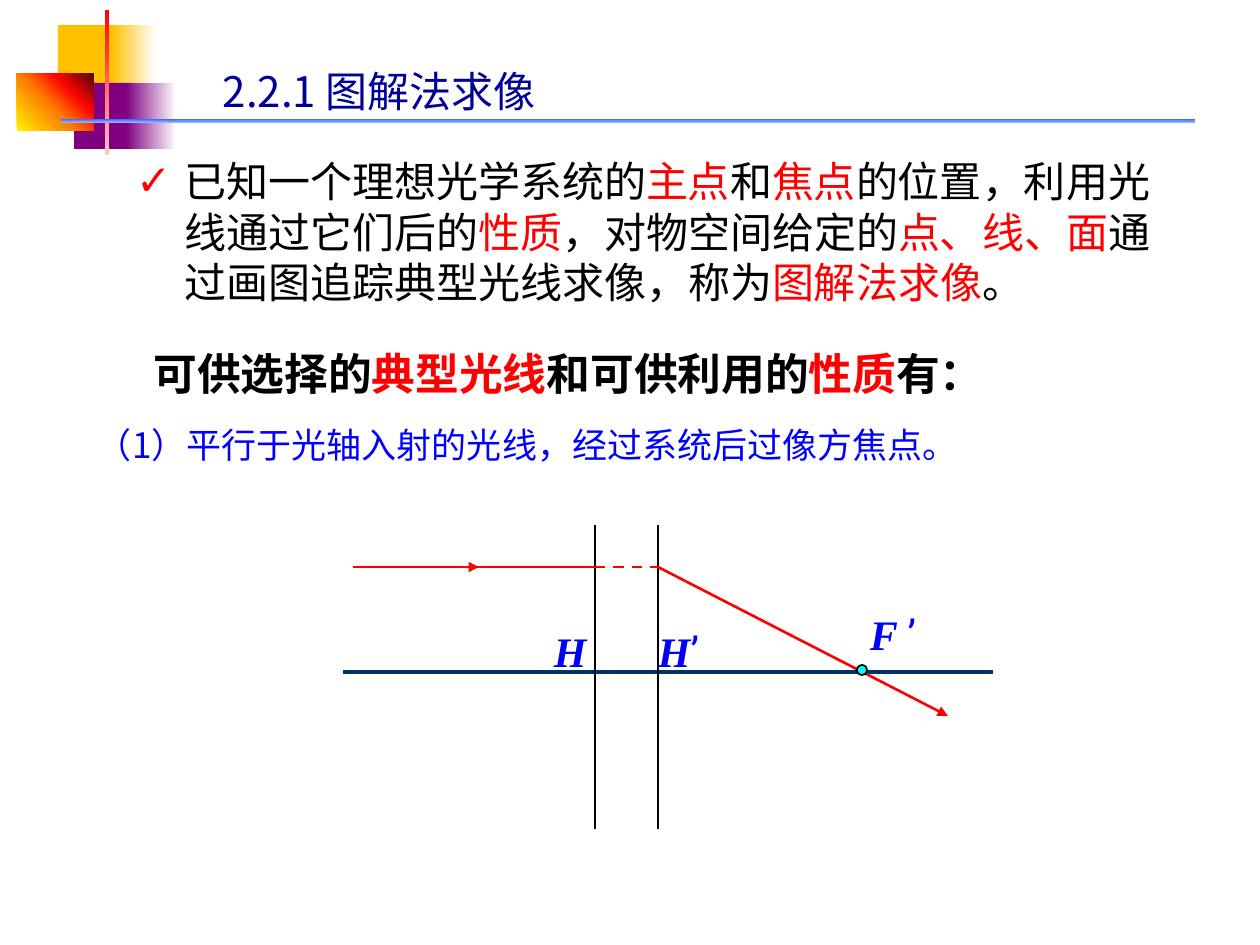
import dataclasses
import pptx
import pptx.util
import pptx.dml.color
import pptx.enum.dml
import pptx.enum.shapes
import pptx.enum.text
import pptx.oxml.ns
from lxml import etree

SCALE = 914400 / 126
qn = pptx.oxml.ns.qn
SHAPES = pptx.enum.shapes.MSO_SHAPE


@dataclasses.dataclass(frozen=True)
class Theme:
    cjk: str = "Noto Sans CJK SC"
    title_font: str = "Calibri"
    symbol: str = "Times New Roman"
    prime: str = "Roboto"
    black: str = "000000"
    red: str = "FF0000"
    blue: str = "0000FF"
    navy: str = "000099"
    axis: str = "003366"
    focus: str = "00FFFF"
    gold: str = "FFC000"
    purple: str = "800080"
    white: str = "FFFFFF"
    pink: str = "FFC9C9"
    rule: tuple = ((0, "3366FF"), (100, "A2B9FF"))
    flame: tuple = ((0, "FFF200"), (45, "FF7A00"), (70, "FF0300"), (100, "4D0808"))
    body_size: int = 24
    title_size: int = 25
    item_size: int = 20
    leading: float = 1.2


THEME = Theme()


def px(value):
    return pptx.util.Emu(round(value * SCALE))


def rgb(value):
    return pptx.dml.color.RGBColor.from_string(value)


def place(shape, box):
    shape.left, shape.top, shape.width, shape.height = map(px, box)


def add_block(page, box, fill, angle=0, kind=SHAPES.RECTANGLE):
    shape = page.shapes.add_shape(kind, *map(px, box))
    shape.shadow.inherit = False
    shape.line.fill.background()
    if isinstance(fill, str):
        shape.fill.solid()
        shape.fill.fore_color.rgb = rgb(fill)
        return shape
    shape.fill.gradient()
    shape.fill.gradient_angle = angle
    stops = shape._element.spPr.find(qn("a:gradFill")).find(qn("a:gsLst"))
    for stop in list(stops):
        stops.remove(stop)
    for position, color in fill:
        stop = etree.SubElement(stops, qn("a:gs"), pos=str(position * 1000))
        etree.SubElement(stop, qn("a:srgbClr"), val=color)
    return shape


def add_line(page, start, end, color, width=1.5, dashed=False, arrow=False):
    line = page.shapes.add_connector(
        pptx.enum.shapes.MSO_CONNECTOR.STRAIGHT, *map(px, start + end))
    line.line.color.rgb = rgb(color)
    line.line.width = pptx.util.Pt(width)
    if dashed:
        line.line.dash_style = pptx.enum.dml.MSO_LINE.DASH
    if arrow:
        etree.SubElement(line.line._get_or_add_ln(), qn("a:tailEnd"), type="triangle")
    etree.SubElement(line._element.spPr, qn("a:effectLst"))


def write(shape, spans, size, font=THEME.cjk, bold=False, leading=None, top=10):
    frame = shape.text_frame
    frame.word_wrap = True
    frame.auto_size = pptx.enum.text.MSO_AUTO_SIZE.NONE
    frame.margin_left = frame.margin_right = px(13)
    frame.margin_top, frame.margin_bottom = px(top), px(6)
    para = frame.paragraphs[0]
    para.space_before = pptx.util.Pt(0)
    if leading:
        para.line_spacing = pptx.util.Pt(round(size * leading))
    for text, color in spans:
        span = para.add_run()
        span.text = text
        span.font.name = font
        span.font.size = pptx.util.Pt(size)
        span.font.bold = bold
        span.font.color.rgb = rgb(color)
        latin = span._r.get_or_add_rPr().find(qn("a:latin"))
        latin.addnext(latin.makeelement(qn("a:ea"), typeface=THEME.cjk))
    return para


def add_text(page, box, spans, size, **style):
    return write(page.shapes.add_textbox(*map(px, box)), spans, size, **style)


def emphasise(*texts):
    return [(text, (THEME.black, THEME.red)[index % 2]) for index, text in enumerate(texts)]


def add_ornament(page, box):
    left, top = box
    for x, y, width, height, fill, angle in (
        (41, 15, 60, 66, THEME.gold, 0),
        (94, 15, 45, 66, ((0, THEME.gold), (100, THEME.white)), 0),
        (57, 73, 58, 66, THEME.purple, 0),
        (109, 73, 50, 66, ((0, THEME.purple), (100, THEME.white)), 0),
        (0, 63, 77, 58, THEME.flame, 45),
        (88, 0, 4, 145, ((0, THEME.red), (100, THEME.pink)), 270),
        (44, 109, 1134, 4, THEME.rule, 270),
    ):
        add_block(page, (left + x, top + y, width, height), fill, angle)


def add_definition(page, box):
    body = page.placeholders[1]
    place(body, box)
    para = write(body, emphasise(
        "已知一个理想光学系统的", "主点", "和", "焦点",
        "的位置，利用光线通过它们后的", "性质", "，对物空间给定的",
        "点、线、面", "通过画图追踪典型光线求像，称为", "图解法求像", "。"),
        THEME.body_size, leading=THEME.leading)
    props = para._p.get_or_add_pPr()
    props.set("marL", str(px(48)))
    props.set("indent", str(px(-48)))
    color = etree.SubElement(props, qn("a:buClr"))
    etree.SubElement(color, qn("a:srgbClr"), val=THEME.red)
    etree.SubElement(props, qn("a:buChar"), char="✓")


def add_question(page, box):
    title = page.shapes.title
    place(title, box)
    para = write(title, emphasise(
        "可供选择的", "典型光线", "和可供利用的", "性质", "有："),
        THEME.title_size, font=THEME.title_font, bold=True, top=6)
    para.alignment = pptx.enum.text.PP_ALIGN.CENTER
    title.text_frame.vertical_anchor = pptx.enum.text.MSO_ANCHOR.MIDDLE


def add_ray_diagram(page, box):
    left, top, width, height = box
    axis, ray, object_plane, image_plane = 147, 42, 252, 315

    def at(x, y):
        return left + x, top + y

    add_line(page, at(0, axis), at(width, axis), THEME.axis, 2.25)
    for plane in (object_plane, image_plane):
        add_line(page, at(plane, 0), at(plane, height), THEME.black)
    add_line(page, at(10, ray), at(136, ray), THEME.red, arrow=True)
    add_line(page, at(94, ray), at(object_plane, ray), THEME.red)
    add_line(page, at(object_plane, ray), at(image_plane, ray), THEME.red, dashed=True)
    add_line(page, at(image_plane, ray), at(605, 191), THEME.red, arrow=True)
    focus = add_block(page, at(514, 140) + (10, 10), THEME.focus, kind=SHAPES.OVAL)
    focus.line.color.rgb = rgb(THEME.black)
    focus.line.width = pptx.util.Pt(1)
    for x, y, label_width, texts in (
        (514, 74, 94, ("F ", "’")),
        (198, 91, 49, ("H",)),
        (302, 91, 84, ("H", "’")),
    ):
        para = add_text(page, at(x, y) + (label_width, 63),
                        [(text, THEME.blue) for text in texts],
                        THEME.body_size, font=THEME.symbol)
        para.runs[0].font.bold = para.runs[0].font.italic = True
        for span in para.runs[1:]:
            span.font.name = THEME.prime


def build():
    deck = pptx.Presentation()
    deck.slide_width, deck.slide_height = px(1260), px(945)
    page = deck.slides.add_slide(deck.slide_layouts[1])
    add_ornament(page, (17, 10))
    add_text(page, (210, 55, 470, 63), [("2.2.1 图解法求像", THEME.navy)],
             THEME.body_size, leading=THEME.leading)
    add_definition(page, (123, 145, 1052, 165))
    add_question(page, (110, 334, 917, 79))
    add_text(page, (84, 413, 863, 55),
             [("（1）平行于光轴入射的光线，经过系统后过像方焦点。", THEME.blue)],
             THEME.item_size, leading=THEME.leading)
    add_ray_diagram(page, (343, 525, 650, 304))
    deck.save("out.pptx")


build()
